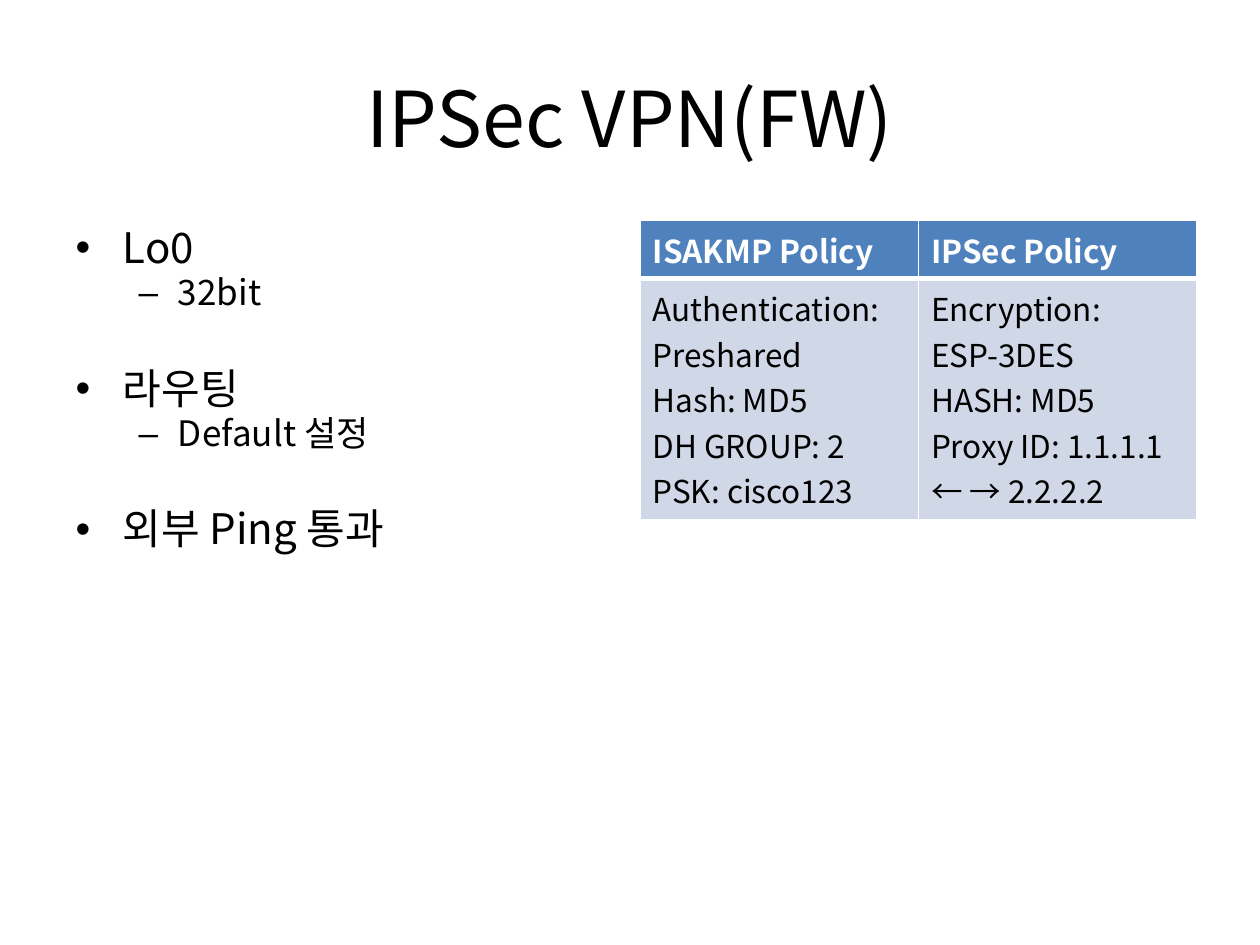
from typing import NamedTuple

import pptx
import pptx.dml.color
import pptx.enum.text
import pptx.oxml
import pptx.oxml.ns
import pptx.util

Inches = pptx.util.Inches
Pt = pptx.util.Pt
FACE = "Noto Sans CJK KR"


class Item(NamedTuple):
    text: str
    level: int = 0
    gap: float = 0


class Column(NamedTuple):
    head: str
    lines: list[str]


ITEMS = [
    Item("Lo0"),
    Item("32bit", 1, 2),
    Item("라우팅", 0, 31),
    Item("Default 설정", 1, 2),
    Item("외부 Ping 통과", 0, 31),
]
COLUMNS = [
    Column("ISAKMP Policy", ["Authentication: Preshared", "Hash: MD5",
                             "DH GROUP: 2", "PSK: cisco123"]),
    Column("IPSec Policy", ["Encryption: ESP-3DES", "HASH: MD5",
                            "Proxy ID: 1.1.1.1 ← → 2.2.2.2"]),
]


def color(code: str) -> pptx.dml.color.RGBColor:
    return pptx.dml.color.RGBColor.from_string(code)


def style(para, size: float, code: str = "000000", bold: bool = False) -> None:
    font = para.font
    font.name, font.size, font.bold = FACE, Pt(size), bold
    font.color.rgb = color(code)
    latin = para._p.pPr.find(".//" + pptx.oxml.ns.qn("a:latin"))
    latin.addnext(pptx.oxml.parse_xml(
        f'<a:ea {pptx.oxml.ns.nsdecls("a")} typeface="{FACE}"/>'))


def place(shape, left: float, top: float, width: float, height: float) -> None:
    shape.left, shape.top = Inches(left), Inches(top)
    shape.width, shape.height = Inches(width), Inches(height)


def border(cell, **widths: float) -> None:
    """Add white cell edges; widths in points by side, in L, R, T, B order."""
    for side, width in widths.items():
        cell._tc.get_or_add_tcPr().append(pptx.oxml.parse_xml(
            f'<a:ln{side} {pptx.oxml.ns.nsdecls("a")} w="{Pt(width)}">'
            '<a:solidFill><a:srgbClr val="FFFFFF"/></a:solidFill>'
            f'</a:ln{side}>'))


def fill(cell, lines: list[str], back: str, ink: str, bold: bool) -> None:
    cell.fill.solid()
    cell.fill.fore_color.rgb = color(back)
    cell.text_frame.text = "\n".join(lines)
    for para in cell.text_frame.paragraphs:
        style(para, 18, ink, bold)


def write(frame, items: list[Item]) -> None:
    frame.text = "\n".join(item.text for item in items)
    frame.auto_size = pptx.enum.text.MSO_AUTO_SIZE.NONE
    for para, item in zip(frame.paragraphs, items):
        para.level = item.level
        para.line_spacing = 0.9
        para.space_before = Pt(item.gap)
        style(para, 20 if item.level else 24)


def draw(slide, columns: list[Column]) -> None:
    table = slide.shapes.add_table(
        2, len(columns), Inches(5.08), Inches(1.75),
        Inches(4.42), Inches(2.01)).table
    table.rows[0].height, table.rows[1].height = Inches(0.41), Inches(1.6)
    for col, column in enumerate(columns):
        head, body = table.cell(0, col), table.cell(1, col)
        border(head, L=1, R=1, T=1, B=3)
        border(body, L=1, R=1, T=3, B=1)
        fill(head, [column.head], "4F81BD", "FFFFFF", True)
        fill(body, column.lines, "D0D8E8", "000000", False)


def main() -> None:
    deck = pptx.Presentation()
    deck.slide_width, deck.slide_height = Inches(10), Inches(7.5)
    slide = deck.slides.add_slide(deck.slide_layouts[1])
    title, body = slide.placeholders
    place(title, 0.5, 0.3, 9, 1.25)
    title.text_frame.text = "IPSec VPN(FW)"
    style(title.text_frame.paragraphs[0], 44)
    place(body, 0.5, 1.75, 4.42, 4.95)
    write(body.text_frame, ITEMS)
    draw(slide, COLUMNS)
    deck.save("out.pptx")


if __name__ == "__main__":
    main()
